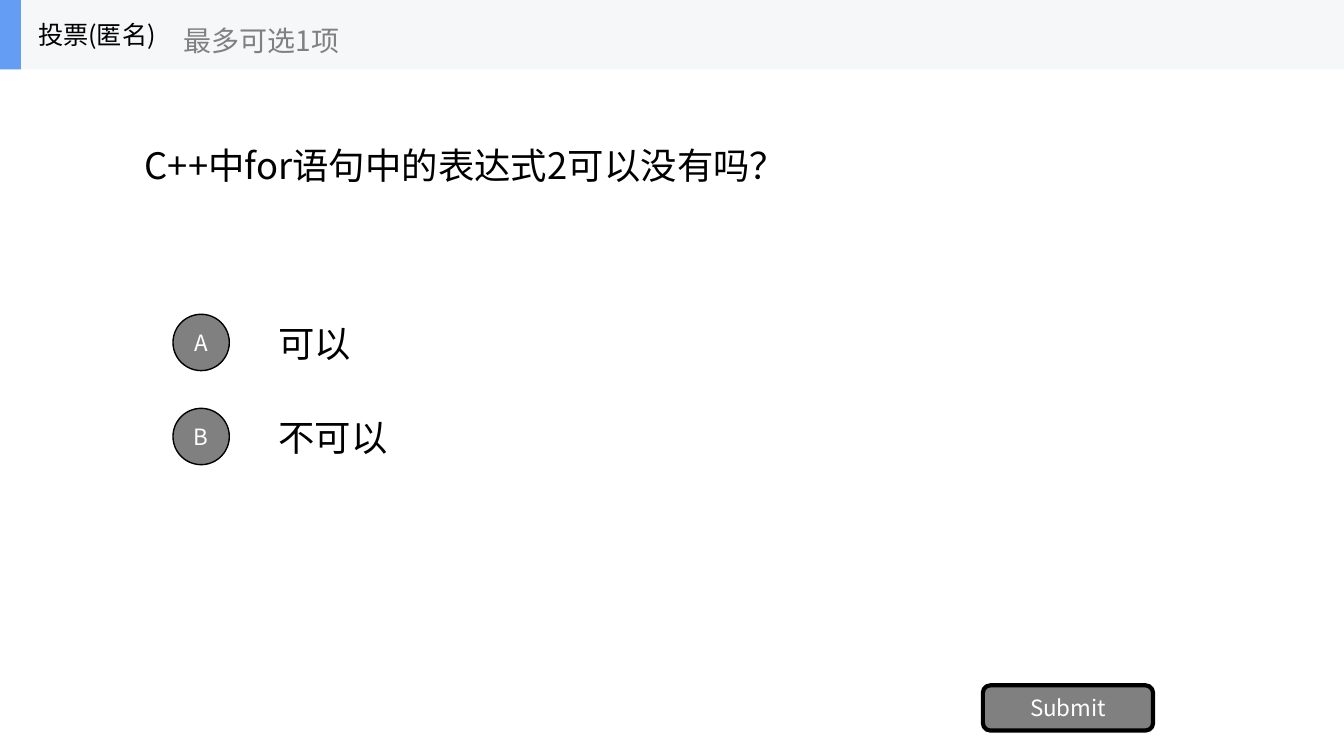
from lxml import etree
from pptx import Presentation
from pptx.dml.color import RGBColor
from pptx.enum import shapes, text
from pptx.oxml import ns
from pptx.util import Cm, Pt

FONT = "Noto Sans CJK SC"
COLORS = {
    "ink": "000000",
    "grey": "808080",
    "white": "FFFFFF",
    "band": "F6F7F8",
    "accent": "639EF4",
}
SLIDE_W, SLIDE_H = 33.87, 19.05
HEADER_H = 1.75
OPTION_TOP, OPTION_STEP, OPTION_H = 7.74, 2.37, 1.78
BADGE_SIZE = 1.42


def rgb(name):
    return RGBColor.from_string(COLORS[name])


def box(left, top, width, height):
    return Cm(left), Cm(top), Cm(width), Cm(height)


def write(shape, words, size, color, align=text.PP_ALIGN.LEFT, wrap=True):
    frame = shape.text_frame
    frame.word_wrap = wrap
    frame.auto_size = text.MSO_AUTO_SIZE.NONE
    frame.vertical_anchor = text.MSO_ANCHOR.MIDDLE
    paragraph = frame.paragraphs[0]
    paragraph.alignment = align
    run = paragraph.add_run()
    run.text = words
    run.font.size = Pt(size)
    run.font.name = FONT
    run.font.color.rgb = rgb(color)
    # East Asian characters take their own typeface setting
    east_asian = etree.SubElement(run.font._element, ns.qn("a:ea"))
    east_asian.set("typeface", FONT)


def add_label(parent, place, words, size, color, wrap=True):
    label = parent.add_textbox(*box(*place))
    write(label, words, size, color, wrap=wrap)


def add_block(parent, kind, place, fill, line_width=0):
    block = parent.add_shape(kind, *box(*place))
    block.shadow.inherit = False
    block.fill.solid()
    block.fill.fore_color.rgb = rgb(fill)
    if line_width:
        block.line.color.rgb = rgb("ink")
        block.line.width = Pt(line_width)
    else:
        block.line.fill.background()
    return block


def add_button(parent, kind, place, words, line_width):
    button = add_block(parent, kind, place, "grey", line_width)
    write(button, words, 16, "white", text.PP_ALIGN.CENTER)


def add_header(slide):
    header = slide.shapes.add_group_shape().shapes
    rectangle = shapes.MSO_SHAPE.RECTANGLE
    add_block(header, rectangle, (0, 0, SLIDE_W, HEADER_H), "band")
    add_block(header, rectangle, (0, 0, 0.53, HEADER_H), "accent")
    add_label(header, (0.71, 0, 5.28, HEADER_H), "投票(匿名)", 18, "ink", wrap=False)
    add_label(header, (4.37, 0.3, 6.35, 1.42), "最多可选1项", 20, "grey", wrap=False)


def main():
    deck = Presentation()
    deck.slide_width, deck.slide_height = Cm(SLIDE_W), Cm(SLIDE_H)
    slide = deck.slides.add_slide(deck.slide_layouts[5])

    # Question
    question = slide.shapes.title
    question.left, question.top, question.width, question.height = box(
        3.39, 1.19, 27.09, 5.95)
    write(question, "C++中for语句中的表达式2可以没有吗？", 26, "ink")

    # Options with lettered badges
    for index, (letter, answer) in enumerate([("A", "可以"), ("B", "不可以")]):
        top = OPTION_TOP + index * OPTION_STEP
        badge_top = top + (OPTION_H - BADGE_SIZE) / 2
        add_label(slide.shapes, (6.77, top, 23.7, OPTION_H), answer, 26, "ink")
        add_button(slide.shapes, shapes.MSO_SHAPE.OVAL,
                   (4.36, badge_top, BADGE_SIZE, BADGE_SIZE), letter, 1)

    # Submit button
    add_button(slide.shapes, shapes.MSO_SHAPE.ROUNDED_RECTANGLE,
               (24.77, 17.27, 4.29, 1.14), "Submit", 3)

    # Header band
    add_header(slide)

    deck.save("out.pptx")


if __name__ == "__main__":
    main()
